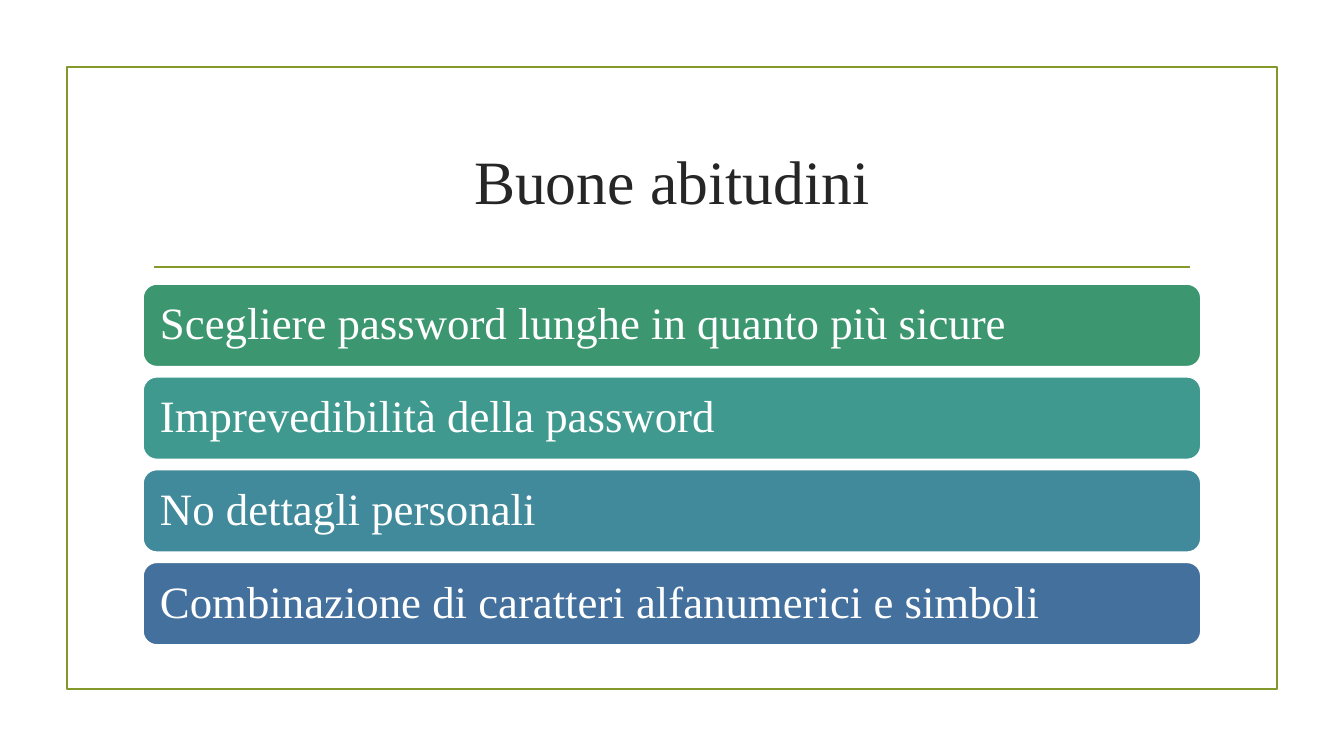
import pptx
import pptx.dml.color
import pptx.enum.shapes
import pptx.enum.text
import pptx.util
import lxml.etree

PX = 12700 * 72 / 100.8
FONT = "Times New Roman"
OLIVE = "83992A"
WHITE = "FFFFFF"
HABITS = [
    ("Scegliere password lunghe in quanto più sicure", "3C9770"),
    ("Imprevedibilità della password", "3F998E"),
    ("No dettagli personali", "418A9B"),
    ("Combinazione di caratteri alfanumerici e simboli", "44709D"),
]


def px(length):
    return pptx.util.Emu(round(length * PX))


def color(value):
    return pptx.dml.color.RGBColor.from_string(value)


def outline(part, value):
    part.line.color.rgb = color(value)
    part.line.width = pptx.util.Pt(1.25)


def write(part, text, size, value, alignment):
    frame = part.text_frame
    frame.word_wrap = True
    frame.vertical_anchor = pptx.enum.text.MSO_ANCHOR.MIDDLE
    frame.text = text
    paragraph = frame.paragraphs[0]
    paragraph.alignment = alignment
    font = paragraph.runs[0].font
    font.name = FONT
    font.size = pptx.util.Pt(size)
    font.color.rgb = color(value)
    return paragraph


def add_frame(slide, left, top, width, height):
    frame = slide.shapes.add_shape(
        pptx.enum.shapes.MSO_SHAPE.RECTANGLE, px(left), px(top), px(width), px(height))
    frame.shadow.inherit = False
    frame.fill.background()
    outline(frame, OLIVE)


def add_heading(slide, left, top, width, height):
    rule_top = top + height + 15
    rule = slide.shapes.add_connector(
        pptx.enum.shapes.MSO_CONNECTOR.STRAIGHT,
        px(left + 11), px(rule_top), px(left + width - 11), px(rule_top))
    outline(rule, OLIVE)
    lxml.etree.SubElement(
        rule._element.spPr, pptx.oxml.ns.qn("a:effectLst"))
    heading = slide.shapes.add_textbox(px(left), px(top), px(width), px(height))
    write(heading, "Buone abitudini", 44, "262626", pptx.enum.text.PP_ALIGN.CENTER)


def add_habits(slide, left, top, width, height):
    gap = 10
    bar_height = (height - gap * (len(HABITS) - 1)) / len(HABITS)
    for index, (habit, fill) in enumerate(HABITS):
        bar = slide.shapes.add_shape(
            pptx.enum.shapes.MSO_SHAPE.ROUNDED_RECTANGLE,
            px(left), px(top + index * (bar_height + gap)), px(width), px(bar_height))
        bar.shadow.inherit = False
        bar.fill.solid()
        bar.fill.fore_color.rgb = color(fill)
        outline(bar, WHITE)
        text_frame = bar.text_frame
        text_frame.margin_left = text_frame.margin_right = px(13)
        text_frame.margin_top = text_frame.margin_bottom = px(13)
        paragraph = write(bar, habit, 32, WHITE, pptx.enum.text.PP_ALIGN.LEFT)
        paragraph.line_spacing = 0.9


def main():
    presentation = pptx.Presentation()
    presentation.slide_width = px(1344)
    presentation.slide_height = px(756)
    slide = presentation.slides.add_slide(presentation.slide_layouts[6])
    add_frame(slide, 67, 67, 1210, 622)
    add_heading(slide, 143, 108, 1058, 144)
    add_habits(slide, 143, 284, 1058, 361)
    presentation.save("out.pptx")


if __name__ == "__main__":
    main()
